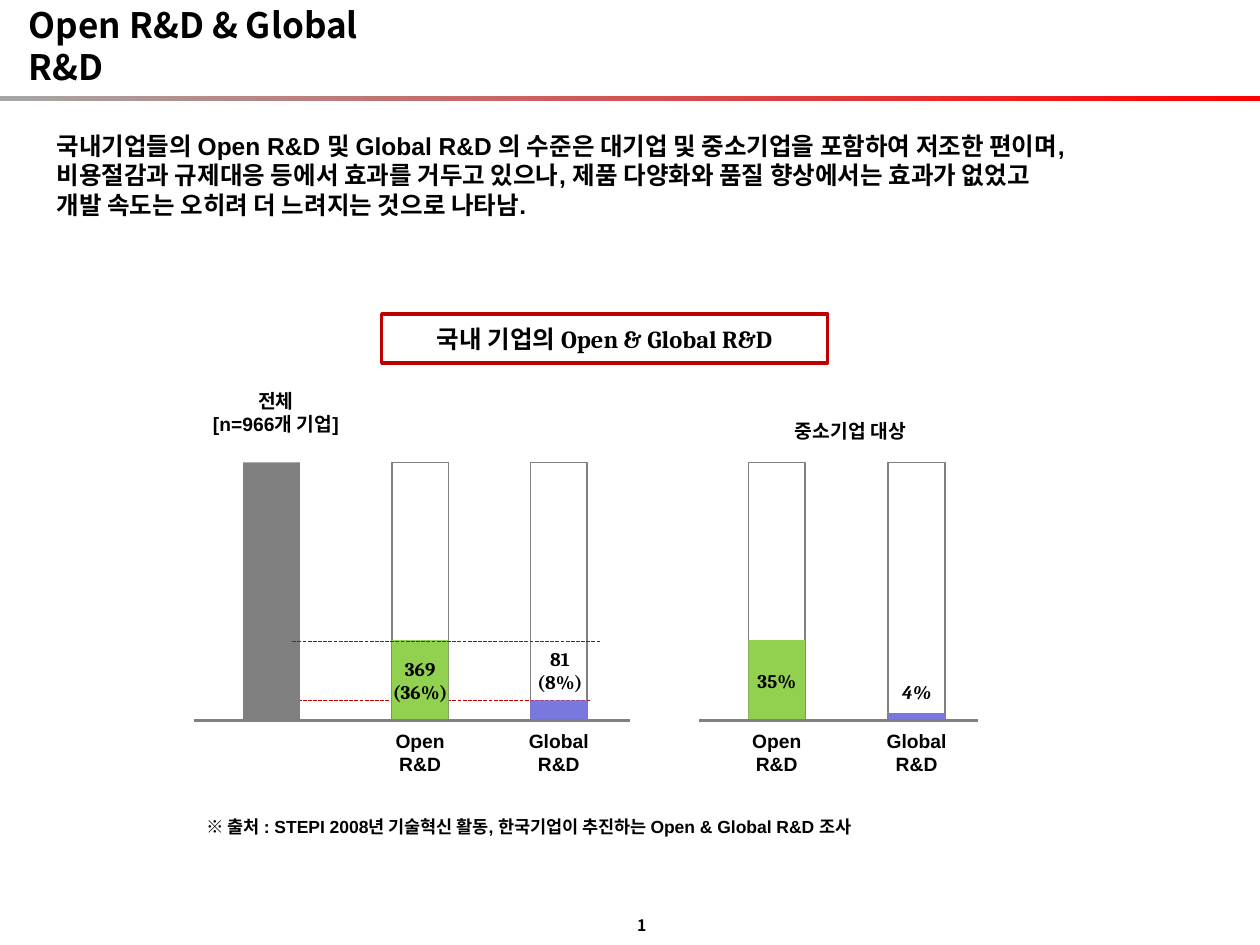
import pptx
import pptx.util
import pptx.dml.color
import pptx.enum.dml
import pptx.enum.shapes
import pptx.enum.text
import pptx.oxml.ns
from lxml import etree

Inches = pptx.util.Inches
Pt = pptx.util.Pt
RGBColor = pptx.dml.color.RGBColor
ALIGN = pptx.enum.text.PP_ALIGN
ANCHOR = pptx.enum.text.MSO_ANCHOR

BLACK = RGBColor(0, 0, 0)
WHITE = RGBColor(255, 255, 255)
SILVER = RGBColor(0xA6, 0xA6, 0xA6)
RED = RGBColor(255, 0, 0)
GRAY = RGBColor(0x80, 0x80, 0x80)
DARK_RED = RGBColor(0xC0, 0, 0)
GREEN = RGBColor(0x92, 0xD0, 0x50)
VIOLET = RGBColor(0x78, 0x78, 0xDE)

BODY_FONT = "Arial"
VALUE_FONT = "Cambria"
TITLE_FONT = "Noto Sans CJK KR"

BAR_W = 0.45
BAR_H = 2.05
OPEN_H = 0.64


def add_run(p, text, size, font, italic=False):
    r = p.add_run()
    r.text = text
    r.font.size = Pt(size)
    r.font.name = font
    r.font.bold = True
    r.font.italic = italic
    r.font.color.rgb = BLACK


def write(tf, lines, size, font=BODY_FONT, align=ALIGN.CENTER, italic=False):
    for i, line in enumerate(lines):
        p = tf.add_paragraph() if i else tf.paragraphs[0]
        p.alignment = align
        add_run(p, line, size, font, italic)


def add_text(s, box, lines, size, **style):
    sp = s.shapes.add_textbox(*map(Inches, box))
    sp.text_frame.word_wrap = False
    write(sp.text_frame, lines, size, **style)
    return sp


def add_rect(s, box, fill, line=None, width=1):
    sp = s.shapes.add_shape(pptx.enum.shapes.MSO_SHAPE.RECTANGLE, *map(Inches, box))
    sp.shadow.inherit = False
    sp.fill.solid()
    sp.fill.fore_color.rgb = fill
    if line is None:
        sp.line.fill.background()
    else:
        sp.line.color.rgb = line
        sp.line.width = Pt(width)
    tf = sp.text_frame
    tf.word_wrap = False
    tf.vertical_anchor = ANCHOR.MIDDLE
    return sp


def add_rule(s, x1, x2, y, color, width, dashed=False):
    line = s.shapes.add_connector(
        pptx.enum.shapes.MSO_CONNECTOR.STRAIGHT, *map(Inches, (x1, y, x2, y)))
    line.line.color.rgb = color
    line.line.width = Pt(width)
    if dashed:
        line.line.dash_style = pptx.enum.dml.MSO_LINE.SQUARE_DOT
    etree.SubElement(line._element.spPr, pptx.oxml.ns.qn("a:effectLst"))


def add_bar(s, x, base, height, fill, line=None):
    return add_rect(s, (x, base - height, BAR_W, height), fill, line)


def add_header(s, left, top, width, height):
    band = add_rect(s, (0, 0.76, 10, 0.04), SILVER)
    band.fill.gradient()
    band.fill.gradient_angle = 0
    for stop, color, position in zip(band.fill.gradient_stops, (SILVER, RED), (0, 1)):
        stop.color.rgb = color
        stop.position = position
    title = s.shapes.title
    title.left, title.top, title.width, title.height = map(
        Inches, (left, top, width, height))
    tf = title.text_frame
    tf.word_wrap = True
    tf.auto_size = pptx.enum.text.MSO_AUTO_SIZE.NONE
    tf.vertical_anchor = ANCHOR.MIDDLE
    write(tf, ["Open R&D & Global R&D"], 20, font=TITLE_FONT, align=ALIGN.LEFT)


def add_summary(s, left, top, width, height):
    lines = [
        "국내기업들의 Open R&D 및 Global R&D 의 수준은 대기업 및 중소기업을 포함하여 저조한 편이며,",
        "비용절감과 규제대응 등에서 효과를 거두고 있으나, 제품 다양화와 품질 향상에서는 효과가 없었고",
        "개발 속도는 오히려 더 느려지는 것으로 나타남.",
    ]
    sp = s.shapes.add_textbox(*map(Inches, (left, top, width, height)))
    sp.text_frame.word_wrap = False
    p = sp.text_frame.paragraphs[0]
    for i, line in enumerate(lines):
        if i:
            p.add_line_break()
        add_run(p, line, 14, BODY_FONT)


def add_axis(s, left, right, base, open_x, global_x):
    add_rule(s, left, right, base, GRAY, 1.5)
    for name, x, width in (("Open", open_x, 0.6), ("Global", global_x, 0.68)):
        label_x = x + (BAR_W - width) / 2
        add_text(s, (label_x, base + 0.02, width, 0.47), [name, "R&D"], 11)


def add_values(s, base, open_x, global_x, global_h, open_lines):
    bar = add_bar(s, open_x, base, OPEN_H, GREEN)
    tf = bar.text_frame
    tf.margin_left = tf.margin_right = 0
    write(tf, open_lines, 11, font=VALUE_FONT)
    add_bar(s, global_x, base, global_h, VIOLET)


def add_all_firms(s, left, right, base):
    total_x, open_x, global_x = left + 0.39, left + 1.57, left + 2.67
    global_h = 0.16
    add_bar(s, global_x, base, BAR_H, WHITE, GRAY)
    add_rule(s, left + 0.7, left + 3.15, base - global_h, DARK_RED, 0.75, True)
    add_bar(s, open_x, base, BAR_H, WHITE, GRAY)
    add_bar(s, total_x, base, BAR_H, GRAY)
    add_text(s, (left, base - 2.68, 1.3, 0.47), ["전체", "[n=966개 기업]"], 11)
    add_values(s, base, open_x, global_x, global_h, ["369", "(36%)"])
    add_text(s, (global_x - 0.05, base - 0.63, 0.57, 0.47), ["81", "(8%)"], 11,
             font=VALUE_FONT)
    add_rule(s, left + 0.78, left + 3.22, base - 0.63, DARK_RED, 0.75, True)
    add_axis(s, left, right, base, open_x, global_x)


def add_small_firms(s, left, right, base):
    open_x, global_x = left + 0.39, left + 1.5
    add_text(s, (left + 0.61, base - 2.44, 1.18, 0.29), ["중소기업 대상"], 11)
    for x in (open_x, global_x):
        add_bar(s, x, base, BAR_H, WHITE, GRAY)
    add_values(s, base, open_x, global_x, 0.06, ["35%"])
    add_text(s, (global_x, base - 0.37, 0.45, 0.29), ["4%"], 11,
             font=VALUE_FONT, italic=True)
    add_axis(s, left, right, base, open_x, global_x)


def main():
    prs = pptx.Presentation()
    prs.slide_width = Inches(10)
    prs.slide_height = Inches(7.5)
    s = prs.slides.add_slide(prs.slide_layouts[5])
    add_header(s, 0.13, 0.14, 3.3, 0.44)
    add_summary(s, 0.35, 0.99, 9.09, 0.81)
    heading = add_rect(s, (3.03, 2.49, 3.54, 0.39), WHITE, DARK_RED, 2)
    write(heading.text_frame, ["국내 기업의 Open & Global R&D"], 14, font=VALUE_FONT)
    add_all_firms(s, 1.54, 5, 5.72)
    add_small_firms(s, 5.55, 7.76, 5.72)
    add_text(s, (1.54, 6.43, 5.75, 0.27),
             ["※ 출처 : STEPI 2008년 기술혁신 활동, 한국기업이 추진하는 Open & Global R&D 조사"],
             10, align=ALIGN.LEFT)
    number = add_text(s, (4.86, 7.22, 0.37, 0.25), ["1"], 9,
                      font=TITLE_FONT, align=ALIGN.RIGHT)
    number.text_frame.vertical_anchor = ANCHOR.MIDDLE
    prs.save("out.pptx")


if __name__ == "__main__":
    main()
